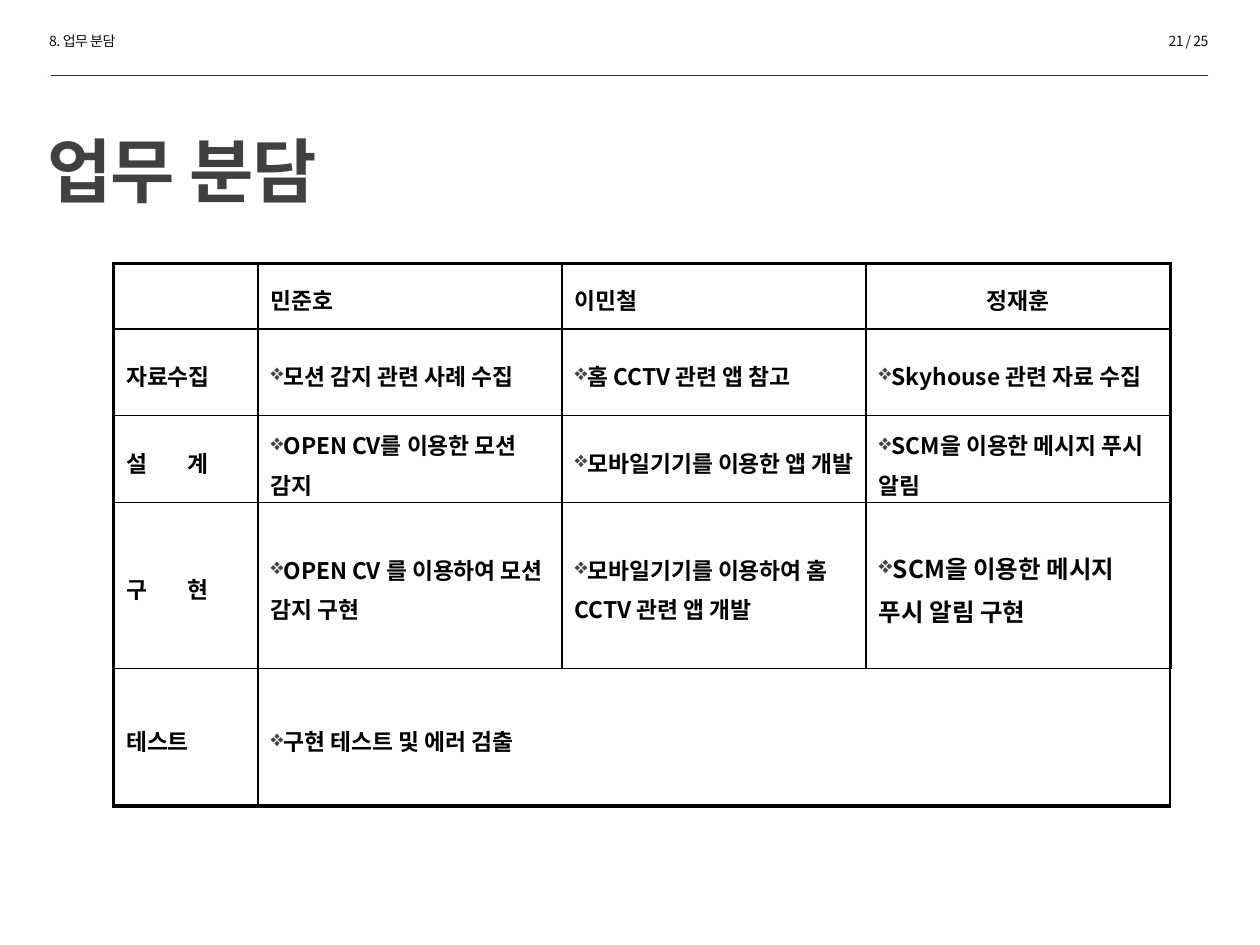
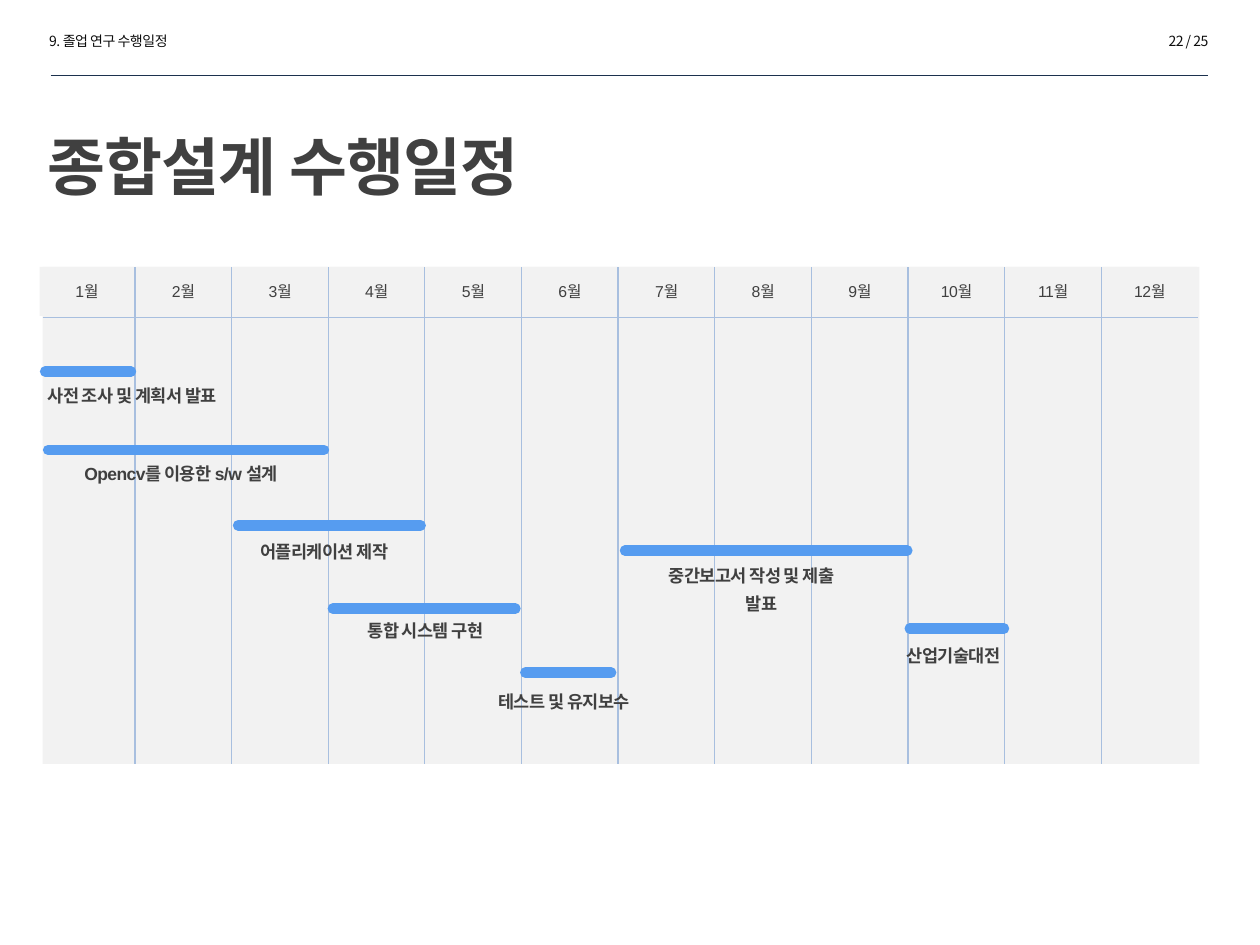
from lxml import etree
from pptx import Presentation
from pptx import util as u
from pptx.dml.color import RGBColor
from pptx.enum import shapes, text
from pptx.oxml.ns import qn

SANS, ARIAL = "Noto Sans CJK KR", "Arial"
INK, GREY, BLACK, BULLET = "0D0D0D", "404040", "000000", "464646"
RULE, PANEL, GRID, BAR = "1C314E", "F2F2F2", "A8BFDF", "569CF0"
PAGES = 25


def color(hex_value):
    return RGBColor.from_string(hex_value)


def child(parent, tag, **attrs):
    return etree.SubElement(parent, qn(tag), attrs)


class Deck:
    """Holds the shared style and the current slide."""

    def __init__(self):
        self.prs = Presentation()
        self.prs.slide_width, self.prs.slide_height = u.Cm(25.4), u.Cm(19.05)
        self.s = None

    def page(self, number, section, title, size, top, height):
        self.s = self.prs.slides.add_slide(self.prs.slide_layouts[6])
        self.label(section, 0.74, 0.53, 4.39, 0.61, 8, SANS, INK)
        self.label(f"{number} / {PAGES}", 20.22, 0.53, 4.39, 0.61, 8, SANS, INK,
                   align=text.PP_ALIGN.RIGHT)
        self.line(1.02, 1.52, 24.36, 1.52, RULE, 0.25)
        self.label(title, 0.71, top, 23.57, height, size, bold=True, tracking=-0.5,
                   spacing=1.75, anchor=text.MSO_ANCHOR.MIDDLE)

    def style(self, p, size, font=ARIAL, ink=GREY, bold=False, tracking=0.0):
        for r in p.runs:
            r.font.size, r.font.name, r.font.bold = u.Pt(size), font, bold
            r.font.color.rgb = color(ink)
            rPr = r._r.get_or_add_rPr()
            rPr.set("spc", str(round(tracking * 100)))
            child(rPr, "a:ea", typeface=SANS)

    def label(self, words, x, y, w, h, size, font=ARIAL, ink=GREY, bold=False,
              tracking=-0.3, spacing=None, align=text.PP_ALIGN.LEFT,
              anchor=text.MSO_ANCHOR.TOP):
        sp = self.s.shapes.add_textbox(u.Cm(x), u.Cm(y), u.Cm(w), u.Cm(h))
        tf = sp.text_frame
        tf.word_wrap, tf.vertical_anchor = True, anchor
        tf.text = words
        p = tf.paragraphs[0]
        p.alignment, p.line_spacing = align, spacing
        self.style(p, size, font, ink, bold, tracking)

    def box(self, x, y, w, h, fill, words=""):
        sp = self.s.shapes.add_shape(shapes.MSO_SHAPE.RECTANGLE,
                                     u.Cm(x), u.Cm(y), u.Cm(w), u.Cm(h))
        sp.shadow.inherit = False
        sp.fill.solid()
        sp.fill.fore_color.rgb = color(fill)
        sp.line.fill.background()
        if words:
            tf = sp.text_frame
            tf.word_wrap, tf.vertical_anchor = False, text.MSO_ANCHOR.MIDDLE
            tf.text = words
            tf.paragraphs[0].alignment = text.PP_ALIGN.CENTER
            self.style(tf.paragraphs[0], 9, tracking=-0.3)

    def line(self, x1, y1, x2, y2, ink, width, round_cap=False):
        c = self.s.shapes.add_connector(shapes.MSO_CONNECTOR.STRAIGHT,
                                        u.Cm(x1), u.Cm(y1), u.Cm(x2), u.Cm(y2))
        c.line.color.rgb, c.line.width = color(ink), u.Pt(width)
        spPr = c._element.spPr
        if round_cap:
            spPr.find(qn("a:ln")).set("cap", "rnd")
        child(spPr, "a:effectLst")

    def table(self, x, y, widths, heights):
        frame = self.s.shapes.add_table(len(heights), len(widths), u.Cm(x), u.Cm(y),
                                        u.Cm(sum(widths)), u.Cm(sum(heights)))
        t = frame.table
        t.first_row = t.horz_banding = False
        for column, w in zip(t.columns, widths):
            column.width = u.Cm(w)
        for row, h in zip(t.rows, heights):
            row.height = u.Cm(h)
        # Thick outer frame, thin inner lines
        last_row, last_col = len(heights) - 1, len(widths) - 1
        for i in range(last_row + 1):
            for j in range(last_col + 1):
                cell = t.cell(i, j)
                outer = {"L": j == 0, "R": j == last_col, "T": i == 0, "B": i == last_row}
                self.borders(cell, outer)
                cell.fill.background()
        return t

    def borders(self, cell, outer):
        tcPr = cell._tc.get_or_add_tcPr()
        for side, thick in outer.items():
            ln = child(tcPr, f"a:ln{side}", w=str(int(u.Pt(2.25 if thick else 1))))
            child(child(ln, "a:solidFill"), "a:srgbClr", val=BLACK)

    def cell(self, cell, words, size=13, bullet=False, tracking=0.0,
             align=text.PP_ALIGN.LEFT):
        cell.vertical_anchor = text.MSO_ANCHOR.MIDDLE
        cell.text = words
        p = cell.text_frame.paragraphs[0]
        p.alignment, p.line_spacing = align, 1.2
        p.space_before = u.Pt(size * 0.2)
        if bullet:
            pPr = p._p.get_or_add_pPr()
            child(child(pPr, "a:buClr"), "a:srgbClr", val=BULLET)
            child(pPr, "a:buChar", char="❖")
        self.style(p, size, SANS, BLACK, True, tracking)


def duties(d):
    d.page(21, "8. 업무 분담", "업무 분담", 40, 1.96, 1.63)
    members = ["민준호", "이민철", "정재훈"]
    stages = [
        ("자료수집", ["모션 감지 관련 사례 수집", "홈 CCTV 관련 앱 참고",
                  "Skyhouse 관련 자료 수집"]),
        ("설 계", ["OPEN CV를 이용한 모션 감지", "모바일기기를 이용한 앱 개발",
                 "SCM을 이용한 메시지 푸시 알림"]),
        ("구 현", ["OPEN CV 를 이용하여 모션 감지 구현",
                 "모바일기기를 이용하여 홈 CCTV 관련 앱 개발",
                 "SCM을 이용한 메시지 푸시 알림 구현"]),
        ("테스트", ["구현 테스트 및 에러 검출"]),
    ]
    t = d.table(2.29, 5.31, [2.91] + [6.13] * 3, [1.32, 1.75, 1.75, 3.35, 2.77])
    t.cell(4, 1).merge(t.cell(4, 3))
    for j, member in enumerate(members, 1):
        centred = j == len(members)
        d.cell(t.cell(0, j), member,
               align=text.PP_ALIGN.CENTER if centred else text.PP_ALIGN.LEFT)
    for i, (stage, tasks) in enumerate(stages, 1):
        # Two-syllable stage names are spread across the column
        d.cell(t.cell(i, 0), stage, tracking=10 if " " in stage else 0)
        for j, task in enumerate(tasks, 1):
            d.cell(t.cell(i, j), task, 14 if (i, j) == (3, 3) else 13, bullet=True)


def schedule(d):
    d.page(22, "9. 졸업 연구 수행일정", "종합설계 수행일정", 36, 1.7, 2.11)

    # Calendar panel with month heads and grid lines
    top, bottom, first_line = 5.38, 15.4, 2.72
    step = (22.2 - first_line) / 10
    d.box(0.86, top, 23.32, bottom - top, PANEL)
    for m in range(12):
        d.box(first_line + step * (m - 1) + 0.03, top, 1.9, 0.99, PANEL, f"{m + 1}월")
    d.line(0.86, 6.4, 24.16, 6.4, GRID, 0.5)
    for m in range(11):
        x = first_line + step * m
        d.line(x, top, x, bottom, GRID, 0.75)

    # Bars: start, end, height on the page
    bars = [(0.91, 2.64, 7.49), (0.97, 6.53, 9.07), (4.8, 8.48, 10.59),
            (6.71, 10.39, 12.27), (10.59, 12.32, 13.56), (12.6, 18.29, 11.1),
            (18.34, 20.24, 12.67)]
    for start, end, y in bars:
        d.line(start, y, end, y, BAR, 6, round_cap=True)

    # Task labels: words, left, top, width
    labels = [("사전 조사 및 계획서 발표", 0.71, 7.59, 4.55),
              ("Opencv를 이용한 s/w 설계", 1.45, 9.17, 4.9),
              ("어플리케이션 제작", 5, 10.74, 3.63),
              ("통합 시스템 구현", 7.16, 12.34, 3.23),
              ("테스트 및 유지보수", 9.8, 13.77, 3.61),
              ("중간보고서 작성 및 제출", 13.23, 11.23, 4.37),
              ("발표", 14.78, 11.79, 1.35),
              ("산업기술대전", 18.03, 12.83, 2.64)]
    for words, x, y, w in labels:
        d.label(words, x, y, w, 0.74, 10, bold=True, spacing=1.1)


def main():
    d = Deck()
    duties(d)
    schedule(d)
    d.prs.save("out.pptx")


if __name__ == "__main__":
    main()
